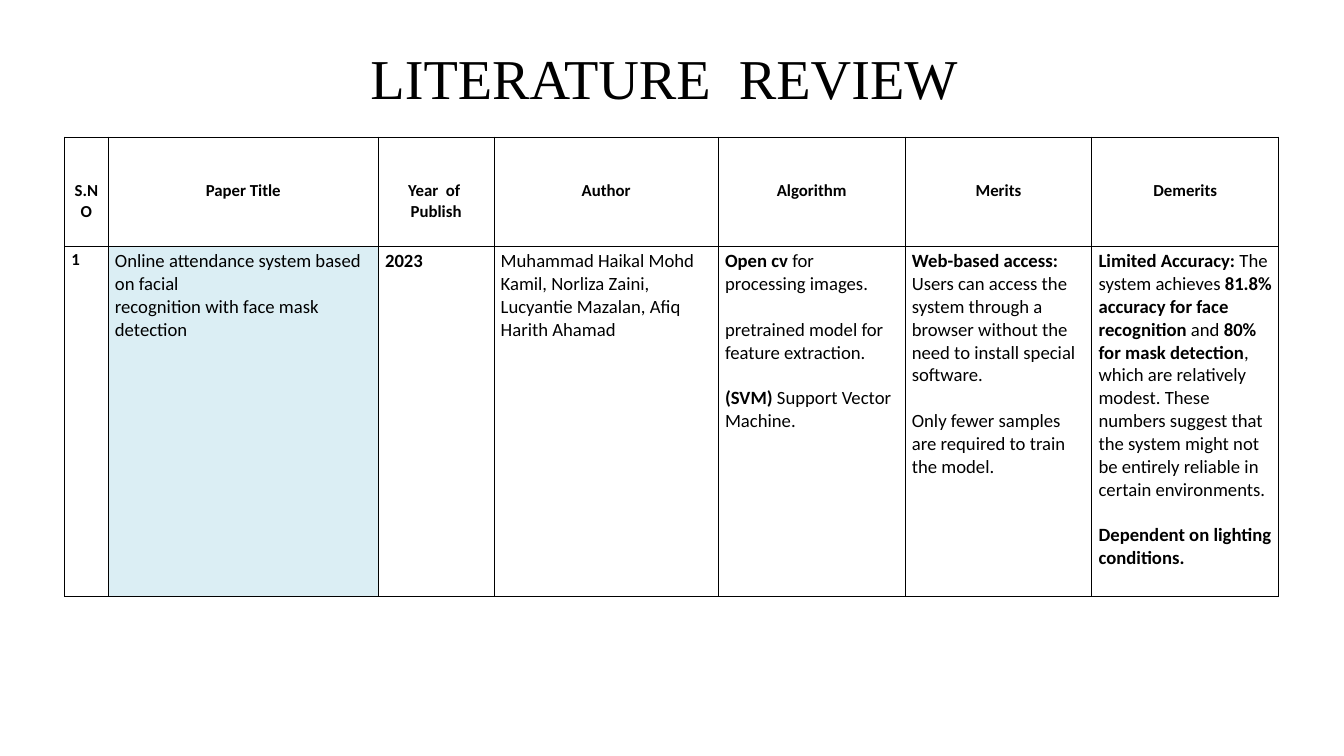
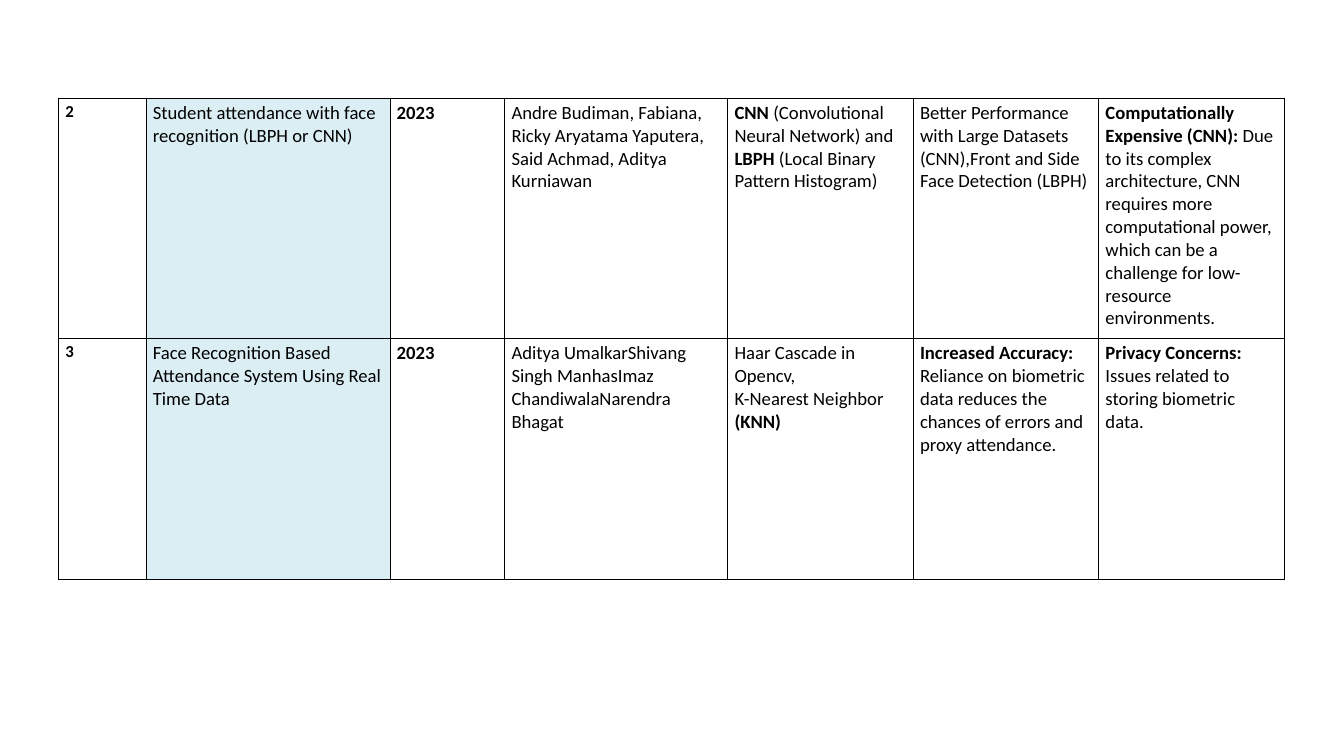
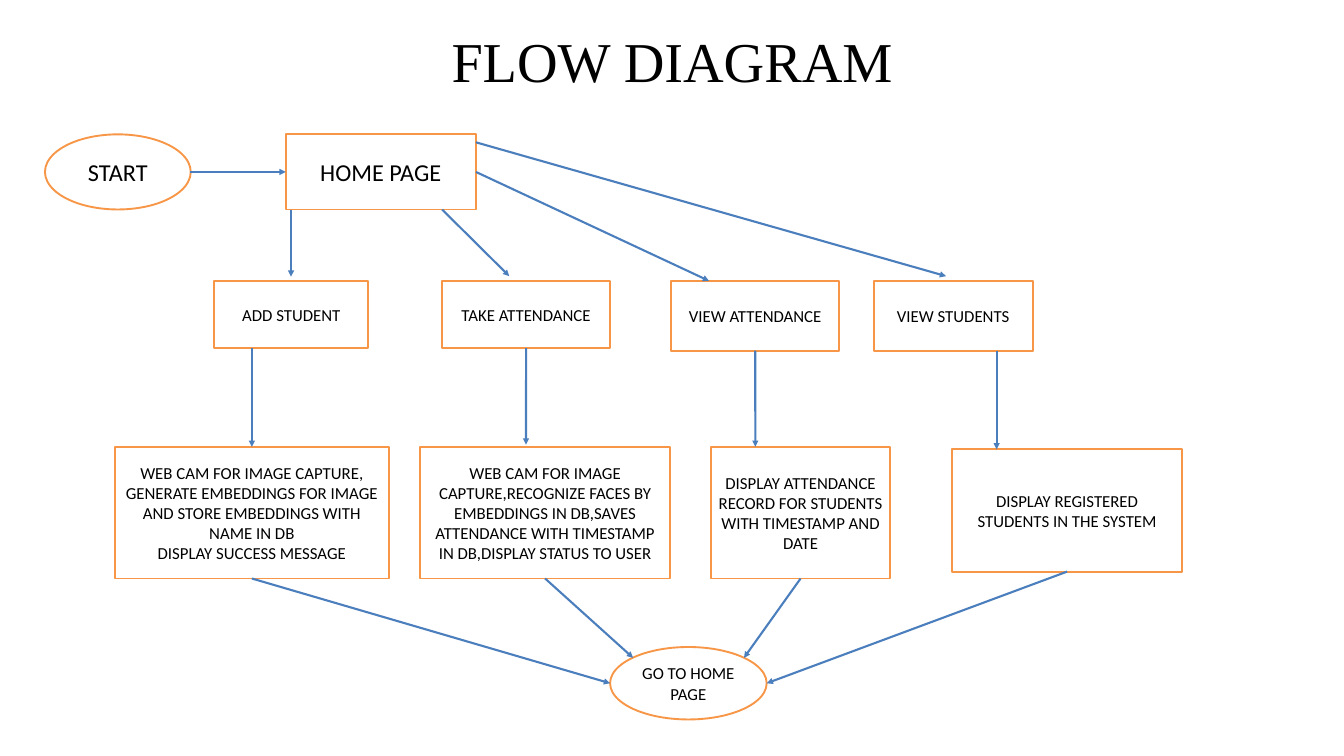
from lxml import etree
from pptx import Presentation
from pptx.dml.color import RGBColor
from pptx.enum import shapes, text
from pptx.oxml import ns
from pptx.util import Cm, Pt

BLACK, WHITE, PALE_BLUE = "000000", "FFFFFF", "DBEEF4"
ORANGE, BLUE = "F79646", "4B7EBC"
BODY_FONT, TITLE_FONT = "Calibri", "Times New Roman"
TITLE_WIDTH, TITLE_HEIGHT = 26, 3
PARAGRAPH_GAP = 24.5
HEADER_TOP_MARGIN = 1.66

HEADER = ["S.NO", "Paper Title", "Year  of  Publish", "Author", "Algorithm", "Merits", "Demerits"]

FIRST_PAPER = [
    "**1**",
    "Online attendance system based on facial\nrecognition with face mask detection",
    "**2023**",
    "Muhammad Haikal Mohd Kamil, Norliza Zaini, Lucyantie Mazalan, Afiq Harith Ahamad",
    "**Open cv **for processing images.\n\npretrained model for feature extraction.\n\n"
    "**(SVM) **Support Vector Machine.",
    "**Web-based access:** Users can access the system through a browser without the need "
    "to install special software.\n\nOnly fewer samples are required to train the model.",
    "**Limited Accuracy:** The system achieves **81.8% accuracy for face recognition** and "
    "**80% for mask detection**, which are relatively modest. These numbers suggest that the "
    "system might not be entirely reliable in certain environments.\n\n"
    "**Dependent on lighting conditions.**",
]

LATER_PAPERS = [
    [
        "**2**",
        "Student attendance with face recognition (LBPH or CNN)",
        "**2023**",
        "Andre Budiman, Fabiana, Ricky Aryatama Yaputera, Said Achmad, Aditya Kurniawan",
        "**CNN **(Convolutional Neural Network) and **LBPH **(Local Binary Pattern Histogram)",
        "Better Performance with Large Datasets (CNN),Front and Side Face Detection (LBPH)",
        "**Computationally Expensive (CNN): **Due to its complex architecture, CNN requires more "
        "computational power, which can be a challenge for low-resource environments.",
    ],
    [
        "**3**",
        "Face Recognition Based Attendance System Using Real Time Data",
        "**2023**",
        "Aditya UmalkarShivang Singh ManhasImaz ChandiwalaNarendra Bhagat",
        "Haar Cascade in Opencv,\nK-Nearest Neighbor **(KNN)**",
        "**Increased Accuracy: **Reliance on biometric data reduces the chances of errors and "
        "proxy attendance.",
        "**Privacy Concerns: **Issues related to storing biometric data.",
    ],
]

RECTANGLE, OVAL = shapes.MSO_SHAPE.RECTANGLE, shapes.MSO_SHAPE.OVAL

FLOW_BOXES = {
    "start": (OVAL, 1.7, 5.08, 5.51, 2.84, 26, "START"),
    "home": (RECTANGLE, 10.8, 5.08, 7.19, 2.84, 26, "HOME PAGE"),
    "add": (RECTANGLE, 8.1, 10.62, 5.82, 2.54, 18, "ADD STUDENT"),
    "take": (RECTANGLE, 16.71, 10.62, 6.35, 2.54, 18, "TAKE ATTENDANCE"),
    "view": (RECTANGLE, 25.37, 10.62, 6.35, 2.64, 18, "VIEW ATTENDANCE"),
    "students": (RECTANGLE, 33.02, 10.62, 6.02, 2.64, 18, "VIEW STUDENTS"),
    "enrol": (RECTANGLE, 4.34, 16.89, 10.36, 4.98, 18,
              "WEB CAM FOR IMAGE CAPTURE,\n"
              "GENERATE EMBEDDINGS FOR IMAGE AND STORE EMBEDDINGS WITH NAME IN DB\n"
              "DISPLAY SUCCESS MESSAGE"),
    "recognize": (RECTANGLE, 15.88, 16.89, 9.45, 4.98, 18,
                  "WEB CAM FOR IMAGE CAPTURE,RECOGNIZE FACES BY EMBEDDINGS IN DB,SAVES "
                  "ATTENDANCE WITH TIMESTAMP IN DB,DISPLAY STATUS TO USER"),
    "record": (RECTANGLE, 26.87, 16.89, 6.78, 4.98, 18,
               "DISPLAY ATTENDANCE RECORD FOR STUDENTS WITH TIMESTAMP AND DATE"),
    "registered": (RECTANGLE, 35.99, 16.99, 8.69, 4.62, 18,
                   "DISPLAY REGISTERED STUDENTS IN THE SYSTEM"),
    "finish": (OVAL, 23.06, 24.46, 5.92, 2.74, 18, "GO TO HOME PAGE"),
}

TOP, LEFT, BOTTOM, RIGHT = range(4)

FLOW_ARROWS = [
    ((7.2, 6.5), ("home", LEFT)),
    ((11, 7.92), (11, 10.46)),
    ((16.71, 7.92), (19.25, 10.44)),
    (("home", RIGHT), (26.8, 10.62)),
    ((17.99, 5.38), (35.76, 10.44)),
    ((9.52, 13.16), ("enrol", TOP)),
    (("take", BOTTOM), (19.88, 16.81)),
    (("view", BOTTOM), (28.55, 16.89)),
    ((37.67, 13.26), (37.67, 16.99)),
    (("enrol", BOTTOM), (23.06, 25.83)),
    (("recognize", BOTTOM), (23.93, 24.87)),
    (("record", BOTTOM), (28.12, 24.87)),
    (("registered", BOTTOM), (28.98, 25.83)),
]


def color(value):
    return RGBColor.from_string(value)


def format_runs(paragraph, size, font=BODY_FONT):
    for run in paragraph.runs:
        run.font.name = font
        run.font.size = Pt(size)
        run.font.color.rgb = color(BLACK)


def set_title(page, title, center, middle):
    box = page.shapes.title
    box.left, box.top = Cm(center - TITLE_WIDTH / 2), Cm(middle - TITLE_HEIGHT / 2)
    box.width, box.height = Cm(TITLE_WIDTH), Cm(TITLE_HEIGHT)
    frame = box.text_frame
    frame.text = title
    frame.auto_size = text.MSO_AUTO_SIZE.NONE
    frame.vertical_anchor = text.MSO_ANCHOR.MIDDLE
    paragraph = frame.paragraphs[0]
    paragraph.alignment = text.PP_ALIGN.CENTER
    format_runs(paragraph, 60.3, TITLE_FONT)


def style_cell(cell, fill):
    properties = cell._tc.get_or_add_tcPr()
    for side in ("lnL", "lnR", "lnT", "lnB"):
        border = etree.SubElement(properties, ns.qn(f"a:{side}"), w=str(Pt(1)))
        solid = etree.SubElement(border, ns.qn("a:solidFill"))
        etree.SubElement(solid, ns.qn("a:srgbClr"), val=BLACK)
    cell.fill.solid()
    cell.fill.fore_color.rgb = color(fill)


def fill_header(cell, label):
    style_cell(cell, WHITE)
    cell.margin_top = Cm(HEADER_TOP_MARGIN)
    cell.text_frame.text = label
    paragraph = cell.text_frame.paragraphs[0]
    paragraph.alignment = text.PP_ALIGN.CENTER
    format_runs(paragraph, 18)
    paragraph.runs[0].font.bold = True


def fill_paper_cell(cell, content, column):
    style_cell(cell, PALE_BLUE if column == 1 else WHITE)
    frame = cell.text_frame
    paragraph = frame.paragraphs[0]
    for block_index, block in enumerate(content.split("\n\n")):
        for line_index, line in enumerate(block.split("\n")):
            if block_index or line_index:
                paragraph = frame.add_paragraph()
            if block_index and not line_index:
                paragraph.space_before = Pt(PARAGRAPH_GAP)
            for part_index, part in enumerate(line.split("**")):
                if part:
                    span = paragraph.add_run()
                    span.text = part
                    span.font.bold = part_index % 2 == 1
            format_runs(paragraph, 20 if column else 18)


def add_review_table(page, left, top, widths, heights, papers, header=None):
    rows = ([header] if header else []) + papers
    frame = page.shapes.add_table(
        len(rows), len(widths), Cm(left), Cm(top), Cm(sum(widths)), Cm(sum(heights)))
    table = frame.table
    table.first_row = bool(header)
    table.horz_banding = False
    for column, width in zip(table.columns, widths):
        column.width = Cm(width)
    for row, height in zip(table.rows, heights):
        row.height = Cm(height)
    for row_index, row in enumerate(rows):
        for column, content in enumerate(row):
            cell = table.cell(row_index, column)
            if row is header:
                fill_header(cell, content)
            else:
                fill_paper_cell(cell, content, column)


def add_flow_box(page, kind, left, top, width, height, size, label):
    box = page.shapes.add_shape(kind, Cm(left), Cm(top), Cm(width), Cm(height))
    box.shadow.inherit = False
    box.fill.solid()
    box.fill.fore_color.rgb = color(WHITE)
    box.line.color.rgb = color(ORANGE)
    box.line.width = Pt(2)
    frame = box.text_frame
    frame.text = label
    frame.word_wrap = True
    frame.vertical_anchor = text.MSO_ANCHOR.MIDDLE
    for paragraph in frame.paragraphs:
        paragraph.alignment = text.PP_ALIGN.CENTER
        format_runs(paragraph, size)
    return box


def add_arrow(page, boxes, begin, end):
    points = [(0, 0) if point[0] in boxes else point for point in (begin, end)]
    arrow = page.shapes.add_connector(
        shapes.MSO_CONNECTOR.STRAIGHT, *(Cm(value) for point in points for value in point))
    for point, connect in ((begin, arrow.begin_connect), (end, arrow.end_connect)):
        if point[0] in boxes:
            connect(boxes[point[0]], point[1])
    arrow.line.color.rgb = color(BLUE)
    arrow.line.width = Pt(2.25)
    etree.SubElement(arrow.line._get_or_add_ln(), ns.qn("a:tailEnd"), type="triangle")
    etree.SubElement(arrow._element.spPr, ns.qn("a:effectLst"))


def main():
    deck = Presentation()
    deck.slide_width, deck.slide_height = Cm(50.8), Cm(28.58)
    title_only, blank = deck.slide_layouts[5], deck.slide_layouts[6]

    page = deck.slides.add_slide(title_only)
    set_title(page, "LITERATURE  REVIEW", 25.1, 2.92)
    add_review_table(page, 2.44, 5.18, [1.65, 10.21, 4.37, 8.48] + [7.06] * 3,
                     [4.14, 13.23], [FIRST_PAPER], HEADER)

    page = deck.slides.add_slide(blank)
    add_review_table(page, 2.22, 3.71, [3.3, 9.22, 4.34, 8.43] + [7.01] * 3,
                     [9.09] * 2, LATER_PAPERS)

    page = deck.slides.add_slide(title_only)
    set_title(page, "FLOW DIAGRAM", 25.4, 2.27)
    boxes = {name: add_flow_box(page, *details) for name, details in FLOW_BOXES.items()}
    for begin, end in FLOW_ARROWS:
        add_arrow(page, boxes, begin, end)

    deck.save("out.pptx")


if __name__ == "__main__":
    main()
